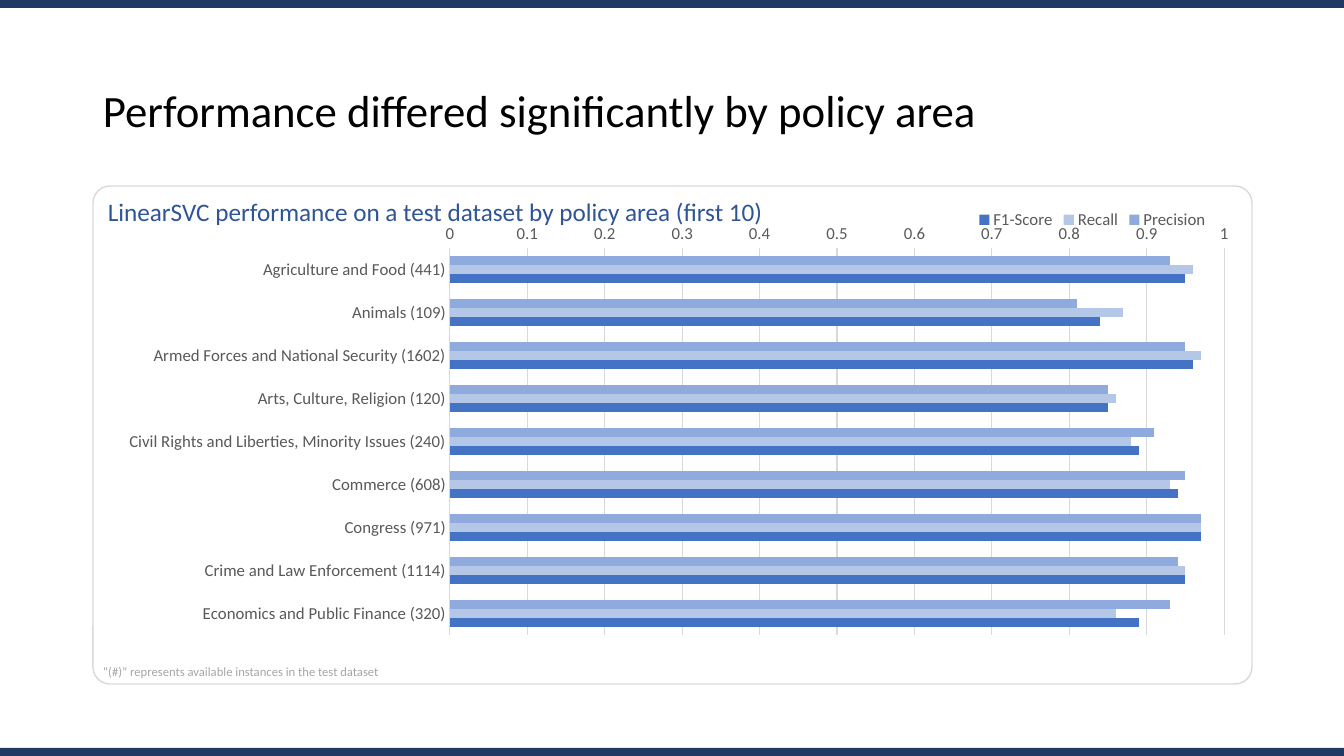
"""Build a slide charting classifier performance by policy area."""
from dataclasses import dataclass

from lxml import etree
from pptx import Presentation
from pptx import util as u
from pptx.chart.data import CategoryChartData
from pptx.dml.color import RGBColor
from pptx.enum import chart as ch
from pptx.enum import shapes, text
from pptx.oxml.ns import qn

PX_PER_INCH = 100.8
SLIDE_WIDTH, SLIDE_HEIGHT = 1344, 756
LEFT, WIDTH = 93, 1159
BAND_HEIGHT = 8


@dataclass(frozen=True)
class Theme:
    """Colours and type sizes of the slide."""
    font: str = "Calibri"
    band: str = "203864"
    title: str = "000000"
    heading: str = "2F5597"
    label: str = "595959"
    note: str = "A6A6A6"
    rule: str = "D9D9D9"
    precision: str = "8FAADC"
    recall: str = "B4C7E7"
    f1_score: str = "4472C4"
    title_size: int = 32
    heading_size: int = 18
    label_size: int = 12
    note_size: int = 9


THEME = Theme()

SCORES = [
    ("Agriculture and Food (441)", 0.93, 0.96, 0.95),
    ("Animals (109)", 0.81, 0.87, 0.84),
    ("Armed Forces and National Security (1602)", 0.95, 0.97, 0.96),
    ("Arts, Culture, Religion (120)", 0.85, 0.86, 0.85),
    ("Civil Rights and Liberties, Minority Issues (240)", 0.91, 0.88, 0.89),
    ("Commerce (608)", 0.95, 0.93, 0.94),
    ("Congress (971)", 0.97, 0.97, 0.97),
    ("Crime and Law Enforcement (1114)", 0.94, 0.95, 0.95),
    ("Economics and Public Finance (320)", 0.93, 0.86, 0.89),
]
SERIES = [("Precision", THEME.precision), ("Recall", THEME.recall),
          ("F1-Score", THEME.f1_score)]


def px(length):
    """Turn pixels into EMU."""
    return u.Emu(round(length * 914400 / PX_PER_INCH))


def rgb(colour):
    """Return a colour object for a hex string."""
    return RGBColor.from_string(colour)


def format_font(font, size, colour):
    """Set the theme font with a size and a colour."""
    font.name = THEME.font
    font.size = u.Pt(size)
    font.color.rgb = rgb(colour)


def format_line(line, colour, width):
    """Set the colour and the width of a line."""
    line.color.rgb = rgb(colour)
    line.width = u.Pt(width)


def write_text(shape, words, size, colour, anchor=text.MSO_ANCHOR.TOP, spacing=1.0):
    """Write one left-aligned paragraph into a shape."""
    frame = shape.text_frame
    frame.word_wrap = True
    frame.vertical_anchor = anchor
    paragraph = frame.paragraphs[0]
    paragraph.alignment = text.PP_ALIGN.LEFT
    paragraph.line_spacing = spacing
    run = paragraph.add_run()
    run.text = words
    format_font(run.font, size, colour)


def add_text(slide, box, words, **style):
    """Add a text box with formatted text."""
    write_text(slide.shapes.add_textbox(*map(px, box)), words, **style)


def add_band(slide, top):
    """Add a full-width band at the given height."""
    band = slide.shapes.add_shape(shapes.MSO_SHAPE.RECTANGLE, 0, px(top),
                                  px(SLIDE_WIDTH), px(BAND_HEIGHT))
    band.shadow.inherit = False
    band.fill.solid()
    band.fill.fore_color.rgb = rgb(THEME.band)
    band.line.fill.background()


def add_panel(slide, box, heading):
    """Add a rounded outline with a heading inside."""
    panel = slide.shapes.add_shape(shapes.MSO_SHAPE.ROUNDED_RECTANGLE, *map(px, box))
    panel.adjustments[0] = 0.034
    panel.shadow.inherit = False
    panel.fill.background()
    format_line(panel.line, THEME.rule, 1)
    write_text(panel, heading, size=THEME.heading_size, colour=THEME.heading)


def set_layout(element, **values):
    """Place a chart part by fractions of the chart area."""
    layout = element.find(qn("c:layout"))
    if layout is None:
        layout = etree.Element(qn("c:layout"))
        position = element.find(qn("c:legendPos"))
        if position is None:
            element.insert(0, layout)
        else:
            position.addnext(layout)
    for child in list(layout):
        layout.remove(child)
    manual = etree.SubElement(layout, qn("c:manualLayout"))
    for name, value in values.items():
        etree.SubElement(manual, qn(f"c:{name}")).set("val", str(value))


def format_axes(chart):
    """Style the category and value axes."""
    categories, scores = chart.category_axis, chart.value_axis
    for axis in (categories, scores):
        axis.major_tick_mark = axis.minor_tick_mark = ch.XL_TICK_MARK.NONE
        format_font(axis.tick_labels.font, THEME.label_size, THEME.label)
    categories.reverse_order = True
    categories.crosses = ch.XL_AXIS_CROSSES.MAXIMUM
    format_line(categories.format.line, THEME.rule, 0.75)
    scores.minimum_scale, scores.maximum_scale, scores.major_unit = 0, 1, 0.1
    scores.tick_labels.number_format = "General"
    scores.tick_labels.number_format_is_linked = False
    scores.format.line.fill.background()
    format_line(scores.major_gridlines.format.line, THEME.rule, 0.75)


def format_legend(chart):
    """Show the legend at the top right."""
    chart.has_legend = True
    legend = chart.legend
    legend.position = ch.XL_LEGEND_POSITION.BOTTOM
    legend.include_in_layout = False
    format_font(legend.font, THEME.label_size, THEME.label)
    set_layout(legend._element, xMode="edge", yMode="edge", x=0.76, y=0.01)


def add_score_chart(slide, box):
    """Add the clustered bar chart of scores."""
    names, *columns = zip(*SCORES)
    data = CategoryChartData()
    data.categories = names
    for (name, _), values in zip(SERIES, columns):
        data.add_series(name, values)
    chart = slide.shapes.add_chart(ch.XL_CHART_TYPE.BAR_CLUSTERED,
                                   *map(px, box), data).chart
    chart.has_title = False
    format_font(chart.font, THEME.label_size, THEME.label)
    plot = chart.plots[0]
    plot.gap_width, plot.overlap, plot.vary_by_categories = 100, 0, False
    plot.gap_width = 182
    for series, (_, colour) in zip(plot.series, SERIES):
        series.format.fill.solid()
        series.format.fill.fore_color.rgb = rgb(colour)
        series.invert_if_negative = False
    format_axes(chart)
    format_legend(chart)
    set_layout(chart._chartSpace.chart.plotArea, layoutTarget="inner", xMode="edge",
               yMode="edge", x=0.308, y=0.097, w=0.668, h=0.8)


def main():
    """Build and save the slide."""
    presentation = Presentation()
    presentation.slide_width, presentation.slide_height = px(SLIDE_WIDTH), px(SLIDE_HEIGHT)
    slide = presentation.slides.add_slide(presentation.slide_layouts[6])
    for top in (SLIDE_HEIGHT - BAND_HEIGHT, 0):
        add_band(slide, top)
    add_text(slide, (LEFT, 40, WIDTH, 146), "Performance differed significantly by policy area",
             size=THEME.title_size, colour=THEME.title,
             anchor=text.MSO_ANCHOR.MIDDLE, spacing=0.9)
    add_score_chart(slide, (LEFT, 201, WIDTH, 484))
    add_panel(slide, (LEFT, 186, WIDTH, 498),
              "LinearSVC performance on a test dataset by policy area (first 10)")
    add_text(slide, (LEFT, 659, 306, 25),
             "“(#)” represents available instances in the test dataset",
             size=THEME.note_size, colour=THEME.note)
    presentation.save("out.pptx")


if __name__ == "__main__":
    main()
